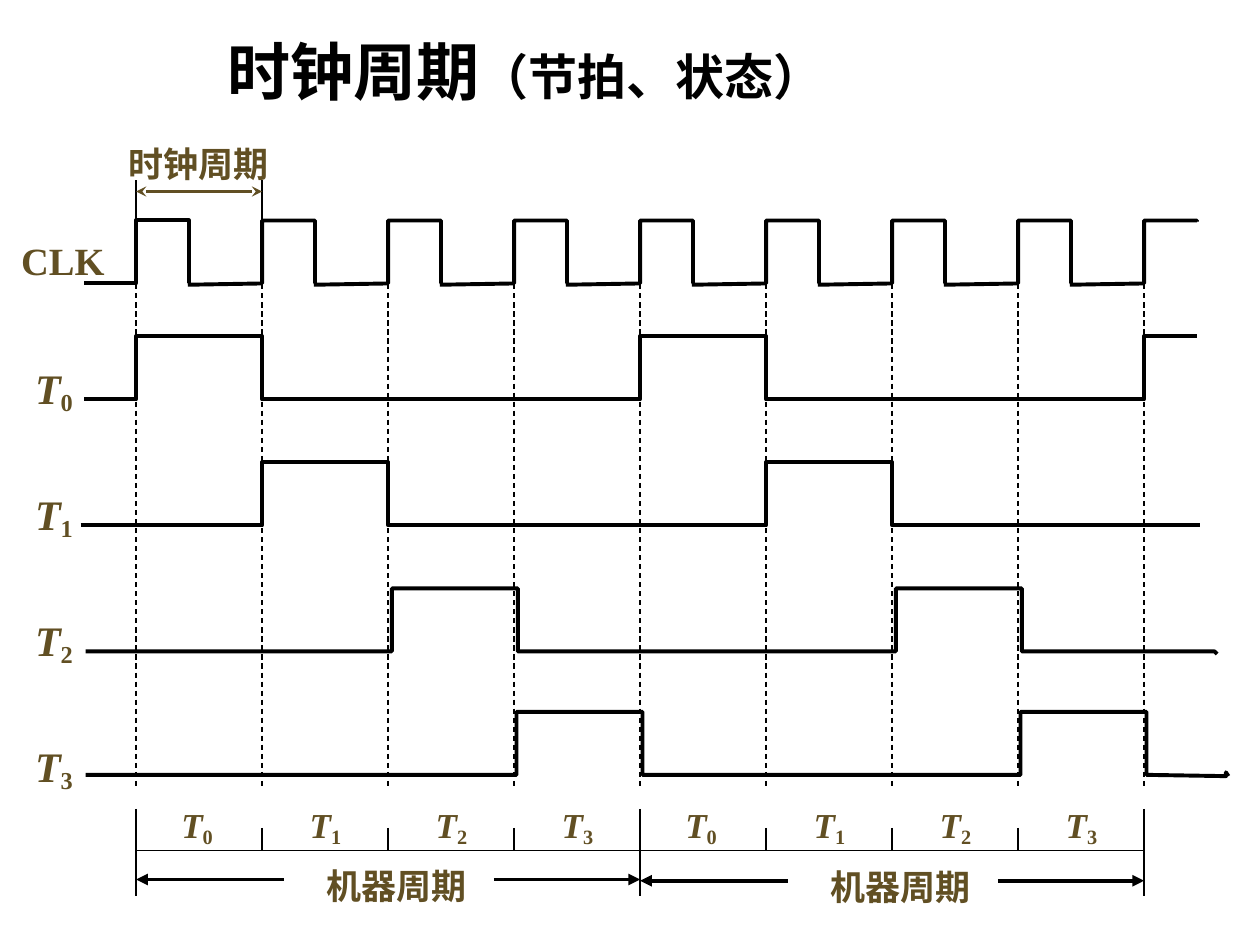
from lxml.etree import SubElement
from pptx import Presentation
from pptx.dml.color import RGBColor
from pptx.enum.dml import MSO_LINE
from pptx.enum.shapes import MSO_CONNECTOR
from pptx.enum.text import MSO_AUTO_SIZE
from pptx.oxml.ns import qn
from pptx.util import Inches, Pt

COLORS = {"ink": "000000", "label": "614F23"}
FONT = "Times New Roman"
FIRST_EDGE = 1.08
EDGES = [FIRST_EDGE + cycle for cycle in range(9)]
STATES = 4
TRACES = [
    {"left": 0.67, "low": 3.17, "shift": 0, "end": [(9.08, 3.17), (9.08, 2.67), (9.5, 2.67)]},
    {"left": 0.64, "low": 4.17, "shift": 0, "end": [(9.52, 4.17)]},
    {"left": 0.68, "low": 5.17, "shift": 0.03, "end": [(9.64, 5.17), (9.66, 5.19)]},
    {"left": 0.68, "low": 6.15, "shift": 0.02, "end": [(9.73, 6.16), (9.73, 6.13), (9.75, 6.16)]},
]


def set_line(shape, width, color="ink"):
    """Give a shape its line colour and width."""
    shape.line.color.rgb = RGBColor.from_string(COLORS[color])
    shape.line.width = Pt(width)


def add_wave(page, points):
    """Draw an open signal trace through points in inches."""
    places = [(Inches(x), Inches(y)) for x, y in points]
    builder = page.shapes.build_freeform(*places[0], scale=1.0)
    builder.add_line_segments(places[1:], close=False)
    wave = builder.convert_to_shape()
    wave.fill.background()
    wave.shadow.inherit = False
    set_line(wave, 2.25)


def add_line(page, start, finish, width, color="ink", dash=None, head=None, tail=None):
    """Draw a straight line with optional dashes and arrowheads."""
    line = page.shapes.add_connector(
        MSO_CONNECTOR.STRAIGHT, *[Inches(value) for value in (*start, *finish)])
    set_line(line, width, color)
    if dash:
        line.line.dash_style = dash
    outline = line.line._get_or_add_ln()
    for tag, kind in (("a:headEnd", head), ("a:tailEnd", tail)):
        if kind:
            SubElement(outline, qn(tag), type=kind)
    SubElement(line._element.spPr, qn("a:effectLst"))


def add_text(page, left, top, width, height, spans, color="label"):
    """Add a one-line text box from (text, size, extra format) spans."""
    box = page.shapes.add_textbox(*[Inches(value) for value in (left, top, width, height)])
    box.text_frame.word_wrap = False
    box.text_frame.auto_size = MSO_AUTO_SIZE.SHAPE_TO_FIT_TEXT
    para = box.text_frame.paragraphs[0]
    for text, size, extra in spans:
        span = para.add_run()
        span.text = text
        span.font.color.rgb = RGBColor.from_string(COLORS[color])
        values = {"name": FONT, "size": Pt(size), "bold": True, "italic": False}
        baseline = extra.get("baseline")
        values.update({name: value for name, value in extra.items() if name != "baseline"})
        for name, value in values.items():
            setattr(span.font, name, value)
        if baseline:
            span.font._element.set("baseline", baseline)


def add_state_label(page, left, top, width, height, state, size):
    """Add an italic T with its state number as a subscript."""
    spans = [("T", size, {"italic": True}), (str(state), size, {"baseline": "-15000"})]
    add_text(page, left, top, width, height, spans)


def add_state_traces(page):
    """Draw the four state signals with their names."""
    for state, trace in enumerate(TRACES):
        low = trace["low"]
        points = [(trace["left"], low)]
        for cycle in (state, state + STATES):
            rise = EDGES[cycle] + trace["shift"]
            points += [(rise, low), (rise, low - 0.5), (rise + 1, low - 0.5), (rise + 1, low)]
        add_wave(page, points + trace["end"])
        add_state_label(page, 0.18, 2.83 + state, 0.5, 0.52, state, 24)


def add_clock(page):
    """Draw the clock signal, its name and the guides below its edges."""
    add_text(page, 0.07, 1.83, 0.86, 0.47, [("CLK", 22, {})])
    for edge in EDGES:
        start = (0.67, 2.25) if edge == FIRST_EDGE else (edge - 0.59, 2.26)
        fall = 1.76 if edge == EDGES[-1] else 2.25
        add_wave(page, [start, (edge, 2.25), (edge, 1.75), (edge + 0.42, 1.75), (edge + 0.42, fall)])
    for edge in EDGES:
        add_line(page, (edge, 1.97), (edge, 6.25), 0.75, dash=MSO_LINE.DASH)


def add_clock_period(page):
    """Mark the length of one clock period."""
    for edge in EDGES[:2]:
        add_line(page, (edge, 1.43), (edge, 1.77), 1.5)
    add_line(page, (EDGES[0], 1.52), (EDGES[1], 1.52), 1.5, "label", head="stealth", tail="stealth")
    add_text(page, 0.92, 1.08, 1.31, 0.44, [("时钟周期", 20, {})])


def add_machine_cycles(page):
    """Draw the scale of states and the two machine cycles."""
    add_line(page, (EDGES[0], 6.75), (EDGES[-1], 6.75), 0.75)
    for cycle, edge in enumerate(EDGES):
        top, bottom = (6.57, 6.75) if cycle % STATES else (6.42, 7.11)
        add_line(page, (edge, top), (edge, bottom), 0.75)
    for start, level in ((EDGES[0], 6.98), (EDGES[STATES], 6.99)):
        add_line(page, (start + 2.84, level), (start + 4, level), 2.25, tail="triangle")
        add_line(page, (start + 1.17, level), (start, level), 2.25, tail="triangle")
        add_text(page, start + 1.41, level - 0.17, 1.31, 0.44, [("机器周期", 20, {})])
    for cycle, edge in enumerate(EDGES[:-1]):
        state = cycle % STATES
        add_state_label(page, edge + (0.28 if state else 0.26), 6.33, 0.45, 0.45, state, 20)


def main():
    """Build the timing diagram slide."""
    deck = Presentation()
    deck.slide_width, deck.slide_height = Inches(10), Inches(7.5)
    page = deck.slides.add_slide(deck.slide_layouts[6])
    add_state_traces(page)
    add_clock(page)
    add_clock_period(page)
    add_text(page, 1.71, 0.21, 4.92, 0.7,
             [("时钟周期", 36, {}), ("（节拍、状态）", 28, {})], "ink")
    add_machine_cycles(page)
    deck.save("out.pptx")


if __name__ == "__main__":
    main()
